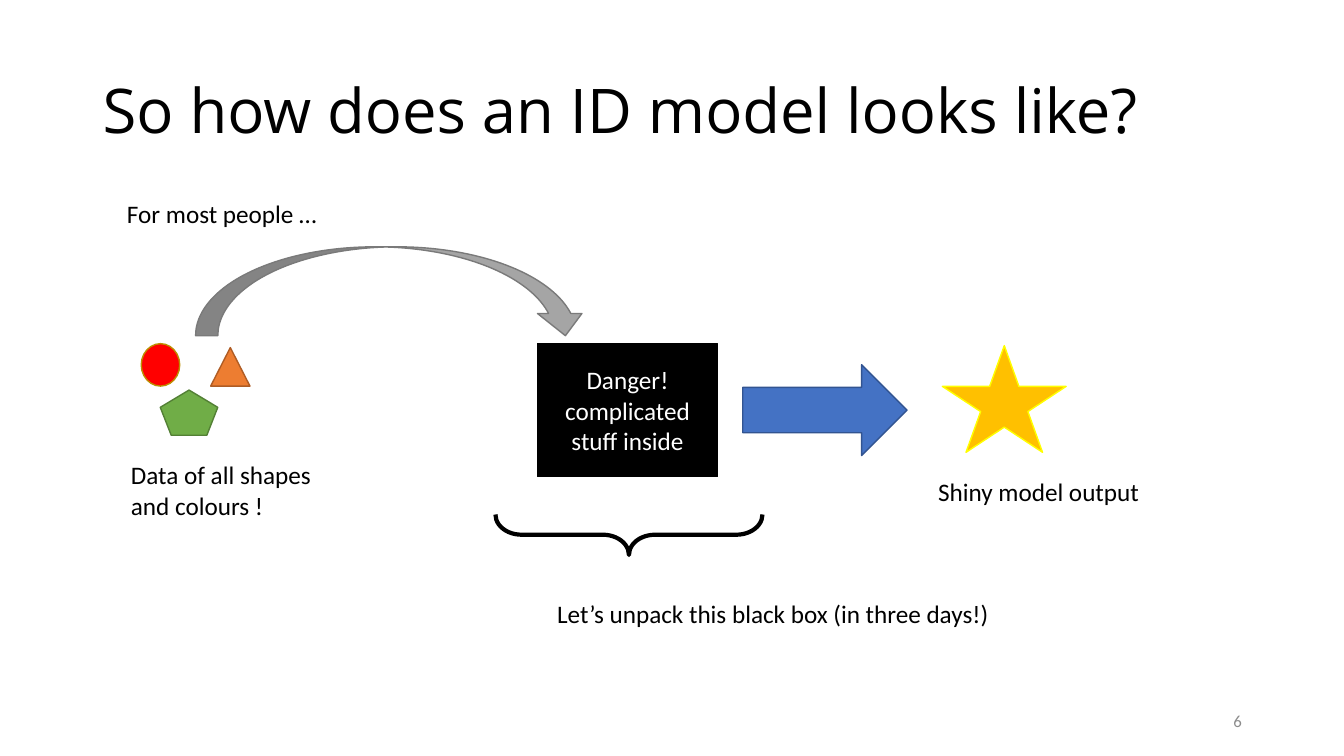
"""Build the slide that shows how most people see an ID model."""
from pptx import Presentation, util as u
from pptx.dml.color import RGBColor
from pptx.enum import shapes, text

KIND = shapes.MSO_SHAPE
SIDE = text.PP_ALIGN
MID = text.MSO_ANCHOR.MIDDLE
TOP = text.MSO_ANCHOR.TOP

THEME = {
    "head": {"name": "Open Sans", "size": 44, "color": "000000"},
    "body": {"name": "Calibri", "size": 18, "color": "000000"},
    "box": {"name": "Calibri", "size": 18, "color": "FFFFFF"},
    "page": {"name": "Calibri", "size": 12, "color": "8C8C8C"},
    "black": ("000000", "000000", 1),
    "orange": ("ED7D31", "AF5C24", 1),
    "red": ("FF0000", "BD8E00", 1),
    "gold": ("FFC000", "FFFF00", 1),
    "grey": ("A5A5A5", "7A7A7A", 1),
    "blue": ("4472C4", "325491", 1),
    "green": ("70AD47", "538035", 1),
    "brace": (None, "000000", 3),
}

SIZE = (33.87, 19.05)
BOX = ["Danger!", "complicated stuff inside"]

SHAPES = [
    (KIND.RECTANGLE, "black", (13.54, 8.66, 4.55, 3.35), {}, BOX),
    (KIND.ISOSCELES_TRIANGLE, "orange", (5.31, 8.76, 0.99, 0.97), {}, []),
    (KIND.OVAL, "red", (3.56, 8.66, 0.97, 1.07), {}, []),
    (KIND.STAR_5_POINT, "gold", (23.75, 8.71, 3.12, 2.69), {}, []),
    (KIND.CURVED_DOWN_ARROW, "grey", (4.93, 6.22, 9.88, 2.24), {}, []),
    (KIND.RIGHT_ARROW, "blue", (18.72, 9.19, 4.14, 2.29), {}, []),
    (KIND.REGULAR_PENTAGON, "green", (4.04, 9.83, 1.45, 1.14), {}, []),
    (KIND.RIGHT_BRACE, "brace", (15.34, 10.11, 1.02, 6.73), {"rotation": 90}, []),
]
CURL = 0.645

LABELS = [
    ("So how does an ID model looks like?", "head", (2.34, 1.02, 29.21, 3.68),
     {"word_wrap": True, "vertical_anchor": MID}, {"line_spacing": 0.9}),
    ("6", "page", (23.93, 17.65, 7.62, 1.02),
     {"word_wrap": True, "vertical_anchor": MID}, {"alignment": SIDE.RIGHT}),
    ("Data of all shapes and colours !", "body", (3.05, 11.46, 5.54, 1.8),
     {"word_wrap": True, "vertical_anchor": TOP}, {}),
    ("Shiny model output", "body", (23.39, 11.89, 7.04, 1.02),
     {"word_wrap": True, "vertical_anchor": TOP}, {}),
    ("For most people …", "body", (2.95, 4.88, 5.38, 1.02),
     {"word_wrap": False, "vertical_anchor": TOP}, {}),
    ("Let’s unpack this black box (in three days!)", "body",
     (13.79, 14.96, 11.66, 1.02),
     {"word_wrap": False, "vertical_anchor": TOP}, {}),
]


def put(item, values):
    for key, val in values.items():
        setattr(item, key, val)


def write(frame, lines, style, form, para):
    look = THEME[style]
    put(frame, form)
    for i, line in enumerate(lines):
        par = frame.add_paragraph() if i else frame.paragraphs[0]
        put(par, para)
        run = par.add_run()
        run.text = line
        put(run.font, {"name": look["name"], "size": u.Pt(look["size"])})
        run.font.color.rgb = RGBColor.from_string(look["color"])


def draw(slide, kind, style, area, form, lines):
    shape = slide.shapes.add_shape(kind, *map(u.Cm, area))
    put(shape, form)
    shape.shadow.inherit = False
    fill, edge, width = THEME[style]
    if fill:
        shape.fill.solid()
        shape.fill.fore_color.rgb = RGBColor.from_string(fill)
    else:
        shape.fill.background()
    shape.line.color.rgb = RGBColor.from_string(edge)
    shape.line.width = u.Pt(width)
    if kind == KIND.RIGHT_BRACE:
        shape.adjustments[0] = CURL
    if lines:
        write(shape.text_frame, lines, "box",
              {"word_wrap": True, "vertical_anchor": MID},
              {"alignment": SIDE.CENTER})


def main():
    deck = Presentation()
    deck.slide_width, deck.slide_height = map(u.Cm, SIZE)
    slide = deck.slides.add_slide(deck.slide_layouts[6])
    for row in SHAPES:
        draw(slide, *row)
    for line, style, area, form, para in LABELS:
        label = slide.shapes.add_textbox(*map(u.Cm, area))
        write(label.text_frame, [line], style, form, para)
    deck.save("out.pptx")


if __name__ == "__main__":
    main()
